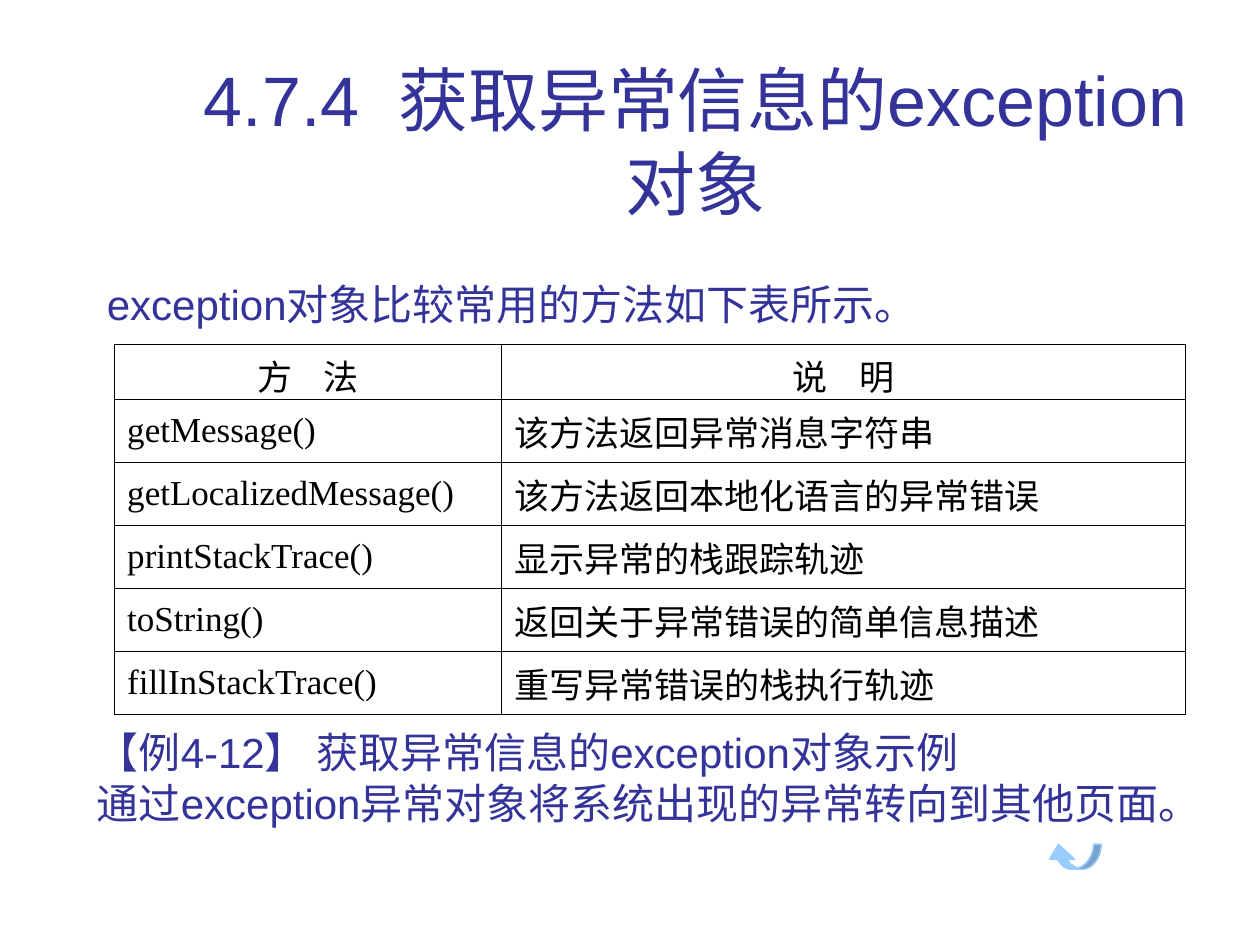
from dataclasses import dataclass

from lxml.etree import SubElement
from pptx import Presentation
from pptx.dml.color import RGBColor
from pptx.enum.text import MSO_ANCHOR as Anchor, PP_ALIGN as Align
from pptx.oxml.ns import qn
from pptx.util import Inches, Pt


@dataclass(frozen=True)
class Theme:
    heading: str = "333399"
    cell_text: str = "000000"
    border: str = "000000"
    arrow: str = "99CCFF"
    arrow_shade: str = "7AA3CC"
    sans: str = "Arial"
    serif: str = "Times New Roman"
    title_size: int = 40
    body_size: int = 24
    cell_size: int = 20
    border_width: float = 0.45
    arrow_line: float = 0.75


THEME = Theme()

METHODS = [
    ("方    法", "说    明"),
    ("getMessage()", "该方法返回异常消息字符串"),
    ("getLocalizedMessage()", "该方法返回本地化语言的异常错误"),
    ("printStackTrace()", "显示异常的栈跟踪轨迹"),
    ("toString()", "返回关于异常错误的简单信息描述"),
    ("fillInStackTrace()", "重写异常错误的栈执行轨迹"),
]


def write(frame, *lines, size=THEME.body_size, font=THEME.sans,
          color=THEME.heading, align=Align.LEFT):
    for index, line in enumerate(lines):
        paragraph = frame.paragraphs[0] if index == 0 else frame.add_paragraph()
        paragraph.alignment = align
        run = paragraph.add_run()
        run.text = line
        run.font.size = Pt(size)
        run.font.name = font
        run.font.color.rgb = RGBColor.from_string(color)


def add_text(slide, box, *lines, anchor=Anchor.TOP, **text_format):
    frame = slide.shapes.add_textbox(*map(Inches, box)).text_frame
    frame.word_wrap = True
    frame.vertical_anchor = anchor
    write(frame, *lines, **text_format)


def set_borders(cell):
    properties = cell._tc.get_or_add_tcPr()
    for position, side in enumerate(("lnL", "lnR", "lnT", "lnB")):
        line = properties.makeelement(
            qn(f"a:{side}"), {"w": str(int(Pt(THEME.border_width)))})
        fill = SubElement(line, qn("a:solidFill"))
        SubElement(fill, qn("a:srgbClr"), val=THEME.border)
        properties.insert(position, line)


def add_method_table(slide):
    table = slide.shapes.add_table(
        len(METHODS), 2, Inches(0.91), Inches(2.73), Inches(8.5), Inches(2.94)).table
    for column, width in zip(table.columns, (3.07, 5.43)):
        column.width = Inches(width)
    for row_index, texts in enumerate(METHODS):
        is_header = row_index == 0
        table.rows[row_index].height = Inches(0.44 if is_header else 0.5)
        for column_index, text in enumerate(texts):
            cell = table.cell(row_index, column_index)
            cell.fill.background()
            cell.vertical_anchor = Anchor.MIDDLE
            set_borders(cell)
            write(cell.text_frame, text, size=THEME.cell_size, font=THEME.serif,
                  color=THEME.cell_text,
                  align=Align.CENTER if is_header else Align.LEFT)


def curve(start, control_a, control_b, end, steps=10):
    """Points along a cubic Bezier curve."""
    points = []
    for step in range(steps + 1):
        t = step / steps
        weights = ((1 - t) ** 3, 3 * t * (1 - t) ** 2, 3 * t ** 2 * (1 - t), t ** 3)
        points.append(tuple(
            sum(weight * value for weight, value in zip(weights, axis))
            for axis in zip(start, control_a, control_b, end)))
    return points


def add_outline(slide, points, color):
    first, *rest = [(Inches(x), Inches(y)) for x, y in points]
    builder = slide.shapes.build_freeform(*first)
    builder.add_line_segments(rest, close=True)
    outline = builder.convert_to_shape()
    outline.shadow.inherit = False
    outline.fill.solid()
    outline.fill.fore_color.rgb = RGBColor.from_string(color)
    outline.line.color.rgb = RGBColor.from_string(THEME.arrow)
    outline.line.width = Pt(THEME.arrow_line)


def add_return_arrow(slide):
    outer = curve((8.74, 6.7), (8.74, 6.81), (8.67, 6.9), (8.59, 6.9))
    inner = curve((8.55, 6.89), (8.62, 6.88), (8.68, 6.79), (8.68, 6.7))
    under = curve((8.51, 6.9), (8.48, 6.9), (8.45, 6.89), (8.43, 6.87))
    head = [(8.39, 6.82), (8.33, 6.82), (8.4, 6.7), (8.53, 6.82), (8.47, 6.82)]
    add_outline(slide, outer + under + head + [(8.5, 6.86)] + inner, THEME.arrow)
    add_outline(slide, outer + [(8.51, 6.9)] + inner, THEME.arrow_shade)


def main():
    deck = Presentation()
    deck.slide_width, deck.slide_height = Inches(10), Inches(7.5)
    slide = deck.slides.add_slide(deck.slide_layouts[6])
    add_text(slide, (1.26, 0.23, 8.52, 1.6), "4.7.4  获取异常信息的exception对象",
             anchor=Anchor.BOTTOM, size=THEME.title_size, align=Align.CENTER)
    add_text(slide, (0.75, 2.16, 9.21, 0.5), "exception对象比较常用的方法如下表所示。")
    add_return_arrow(slide)
    add_method_table(slide)
    add_text(slide, (0.67, 5.72, 9.21, 0.9),
             "【例4-12】 获取异常信息的exception对象示例",
             "通过exception异常对象将系统出现的异常转向到其他页面。")
    deck.save("out.pptx")


if __name__ == "__main__":
    main()
